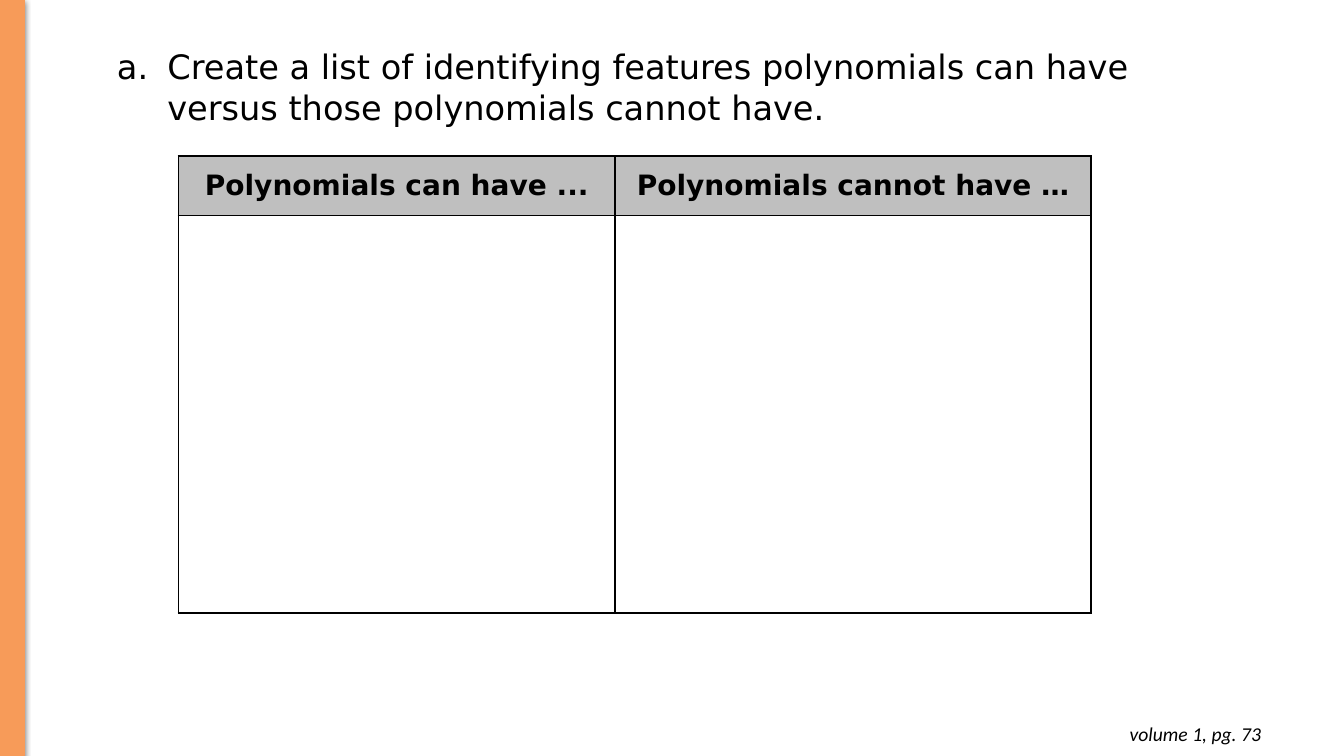
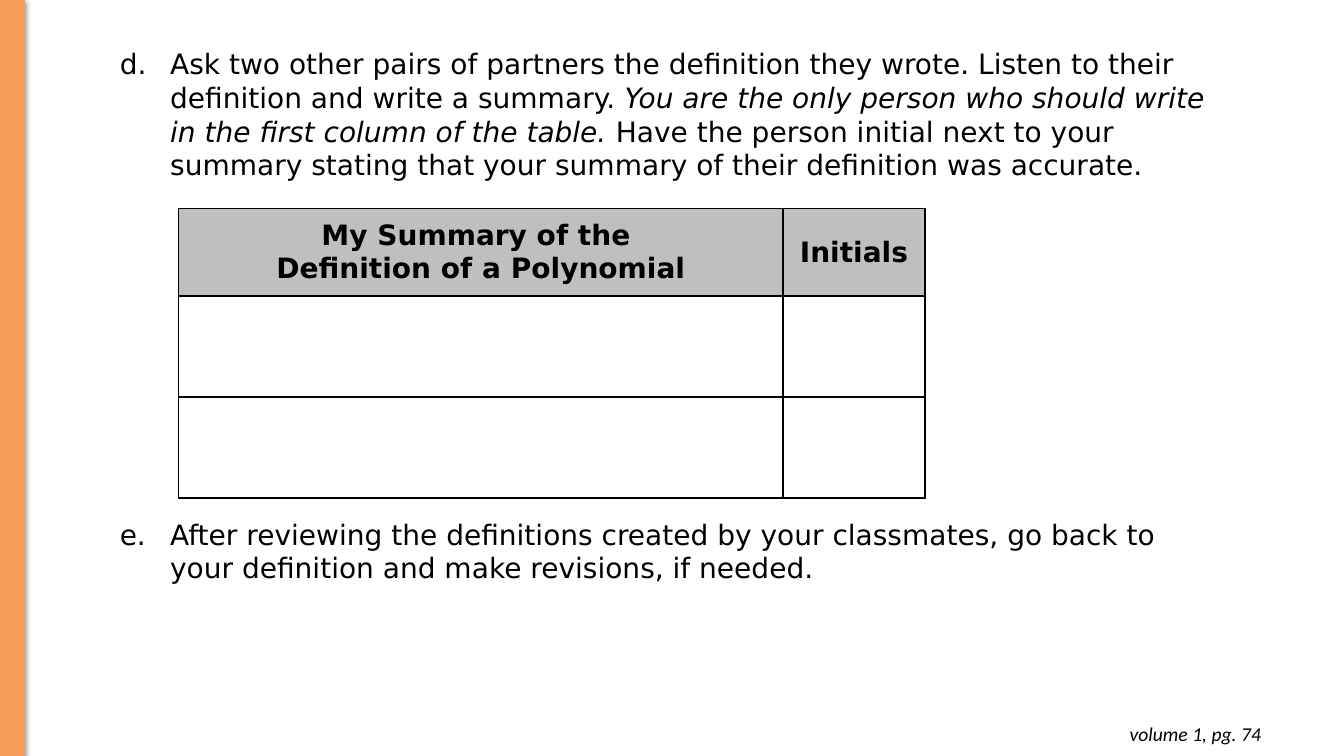
from dataclasses import dataclass

from lxml import etree
from pptx import Presentation
from pptx.dml.color import RGBColor
from pptx.enum.shapes import MSO_SHAPE
from pptx.enum.text import MSO_ANCHOR, PP_ALIGN
from pptx.oxml import parse_xml
from pptx.oxml.ns import nsdecls, qn
from pptx.util import Pt

RECTANGLE = MSO_SHAPE.RECTANGLE
MIDDLE = MSO_ANCHOR.MIDDLE
CENTER, RIGHT = PP_ALIGN.CENTER, PP_ALIGN.RIGHT
SLIDE_W, SLIDE_H = 960, 540


@dataclass(frozen=True)
class Theme:
    accent: str = "F79B59"
    ink: str = "000000"
    header_fill: str = "BFBFBF"
    body_font: str = "DejaVu Sans"
    footer_font: str = "Calibri"
    large: int = 24
    medium: int = 20
    small: int = 14
    border: float = 1.5


THEME = Theme()


def style_run(run, size, font=THEME.body_font, bold=False, italic=False):
    run.font.name = font
    run.font.size = Pt(size)
    run.font.bold = bold
    run.font.italic = italic
    run.font.color.rgb = RGBColor.from_string(THEME.ink)


def add_text_frame(slide, box):
    frame = slide.shapes.add_textbox(*map(Pt, box)).text_frame
    frame.word_wrap = True
    return frame


def add_side_band(slide, box):
    band = slide.shapes.add_shape(RECTANGLE, *map(Pt, box))
    accent = RGBColor.from_string(THEME.accent)
    band.fill.solid()
    band.fill.fore_color.rgb = accent
    band.line.color.rgb = accent
    band.line.width = Pt(0.75)
    band.shadow.inherit = False
    effects = band.fill._xPr.find(qn("a:effectLst"))
    effects.append(parse_xml(
        f'<a:outerShdw {nsdecls("a")} blurRad="{Pt(4.5)}" dist="{Pt(1.5)}" '
        f'dir="5400000" rotWithShape="0"><a:srgbClr val="{THEME.ink}">'
        '<a:alpha val="50000"/></a:srgbClr></a:outerShdw>'))


def add_page_reference(slide, box, page):
    frame = add_text_frame(slide, box)
    frame.margin_left = frame.margin_right = Pt(7.2)
    frame.margin_top = frame.margin_bottom = Pt(7.2)
    reference = frame.paragraphs[0]
    reference.text = f"volume 1, pg. {page}"
    reference.alignment = RIGHT
    style_run(reference.runs[0], THEME.small, THEME.footer_font, italic=True)


def add_task(slide, box, number, parts, size, indent):
    """Add a lettered task; parts are (text, italic) pairs and 1 is letter a."""
    task = add_text_frame(slide, box).paragraphs[0]
    properties = task._p.get_or_add_pPr()
    properties.set("marL", str(Pt(indent)))
    properties.set("indent", str(-Pt(36)))
    color = etree.SubElement(properties, qn("a:buClr"))
    etree.SubElement(color, qn("a:srgbClr"), val=THEME.ink)
    etree.SubElement(properties, qn("a:buAutoNum"), type="alphaLcPeriod",
                     startAt=str(number))
    for text, italic in parts:
        run = task.add_run()
        run.text = text
        style_run(run, size, italic=italic)


def set_borders(cell):
    properties = cell._tc.get_or_add_tcPr()
    for position, side in enumerate(("lnL", "lnR", "lnT", "lnB")):
        properties.insert(position, parse_xml(
            f'<a:{side} {nsdecls("a")} w="{Pt(THEME.border)}"><a:solidFill>'
            f'<a:srgbClr val="{THEME.ink}"/></a:solidFill></a:{side}>'))


def add_answer_table(slide, origin, headings, widths, heights, margins):
    """Add a table with a grey heading row over empty rows to write in."""
    size = sum(widths), sum(heights)
    table = slide.shapes.add_table(len(heights), len(widths),
                                   *map(Pt, (*origin, *size))).table
    table.first_row = table.horz_banding = False
    for column, width in zip(table.columns, widths):
        column.width = Pt(width)
    for row, height in zip(table.rows, heights):
        row.height = Pt(height)
    for cell in table.iter_cells():
        cell.fill.background()
        set_borders(cell)
    margin_x, margin_y = margins
    for cell, heading in zip(table.rows[0].cells, headings):
        cell.fill.solid()
        cell.fill.fore_color.rgb = RGBColor.from_string(THEME.header_fill)
        cell.vertical_anchor = MIDDLE
        cell.margin_left = cell.margin_right = Pt(margin_x)
        cell.margin_top = cell.margin_bottom = Pt(margin_y)
        paragraph = cell.text_frame.paragraphs[0]
        paragraph.text = heading
        paragraph.alignment = CENTER
        for run in paragraph.runs:
            style_run(run, THEME.medium, bold=True)


def add_page(deck, page):
    """Add a slide with the parts that every slide shares."""
    slide = deck.slides.add_slide(deck.slide_layouts[6])
    add_side_band(slide, (0, 0, 17.3, SLIDE_H))
    add_page_reference(slide, (700.5, 508.3, 207.5, 31.7), page)
    return slide


def build_features_slide(deck):
    slide = add_page(deck, 73)
    add_task(slide, (42.5, 29.5, 828, 72), 1, [
        ("Create a list of identifying features polynomials can have "
         "versus those polynomials cannot have.", False),
    ], THEME.large, 70)
    add_answer_table(slide, (127.5, 111.5),
                     ("Polynomials can have ...", "Polynomials cannot have …"),
                     (312, 340), (42.5, 284), (5, 0))


def build_definition_slide(deck):
    slide = add_page(deck, 74)
    add_task(slide, (42.5, 30, 828, 104), 4, [
        ("Ask two other pairs of partners the definition they wrote. "
         "Listen to their definition and write a summary. ", False),
        ("You are the only person who should write in the first column "
         "of the table. ", True),
        ("Have the person initial next to your summary stating that your "
         "summary of their definition was accurate.", False),
    ], THEME.medium, 72)
    add_answer_table(slide, (127.5, 149),
                     ("My Summary of the \vDefinition of a Polynomial", "Initials"),
                     (432, 101), (62.5, 72, 72), (7.2, 7.2))
    add_task(slide, (42.5, 366, 828, 56), 5, [
        ("After reviewing the definitions created by your classmates, go "
         "back to your definition and make revisions, if needed.", False),
    ], THEME.medium, 72)


def main():
    deck = Presentation()
    deck.slide_width, deck.slide_height = Pt(SLIDE_W), Pt(SLIDE_H)
    build_features_slide(deck)
    build_definition_slide(deck)
    deck.save("out.pptx")


if __name__ == "__main__":
    main()
